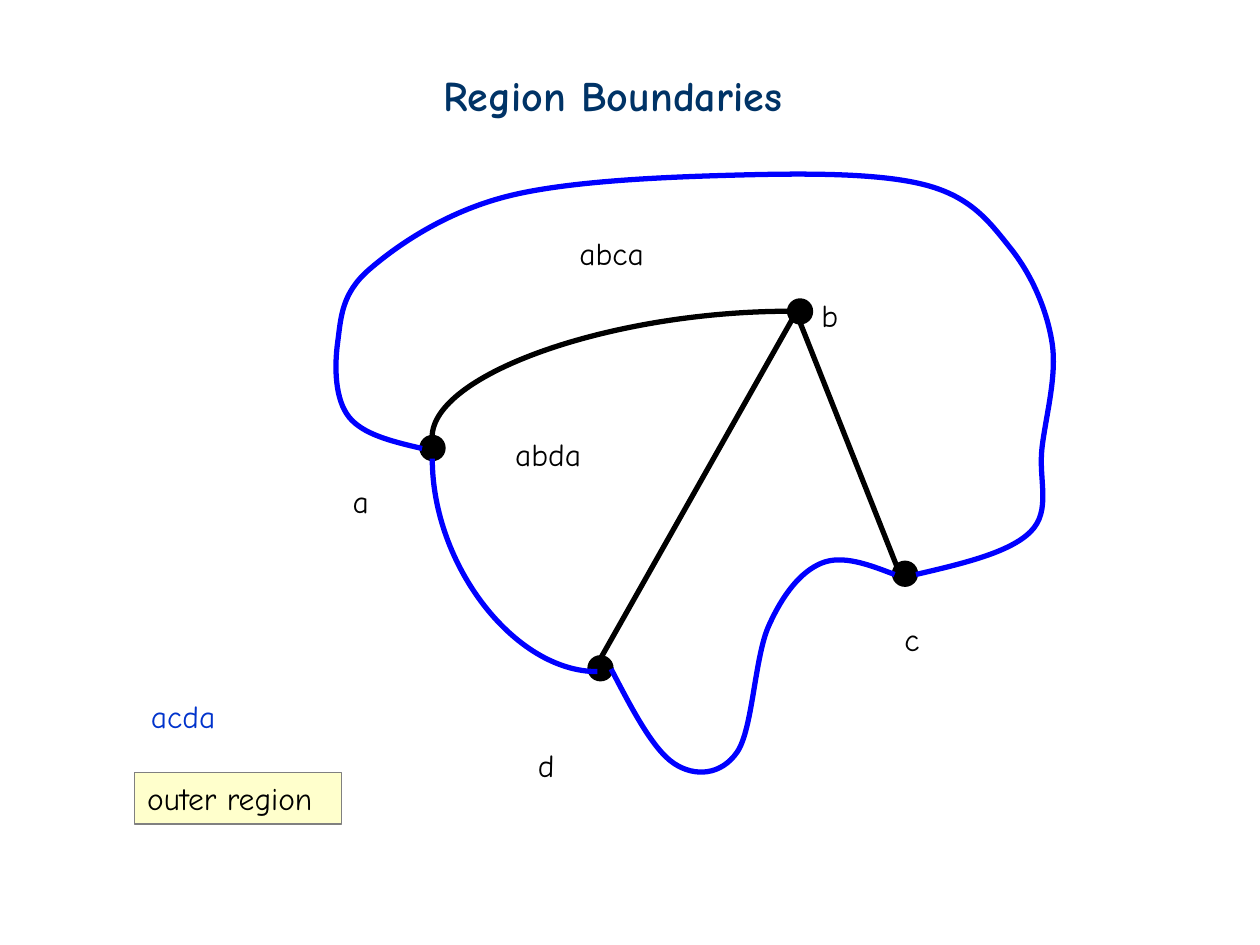
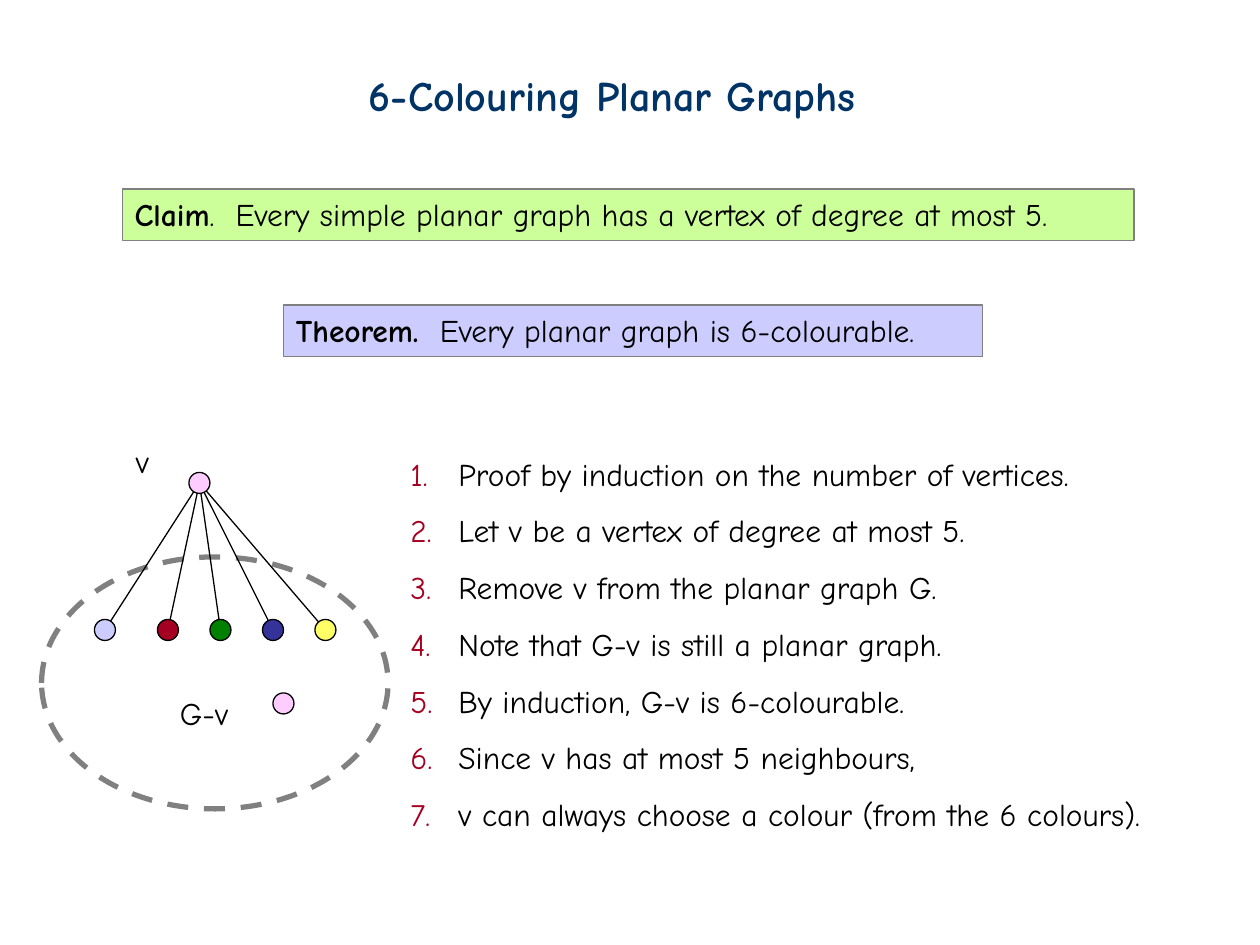
from lxml import etree
from pptx import Presentation
from pptx import util as u
from pptx.dml.color import RGBColor
from pptx.enum import dml, shapes, text
from pptx.oxml.ns import qn

COLS, ROWS = 100, 75
FONT = "Comic Neue"
BODY, TITLE = 18, 24
THIN, THICK = 0.75, 3
DOT = 1.67
COLORS = {
    "ink": "000000", "title": "003366", "edge": "0000FF", "accent": "0033CC",
    "grey": "808080", "number": "A50021", "cream": "FFFFCC", "lime": "CCFF99",
    "lilac": "CCCCFF", "pink": "FFCCFF", "red": "A50021", "green": "008000",
    "navy": "333399", "yellow": "FFFF66",
}


def rgb(name):
    return RGBColor.from_string(COLORS[name])


def smooth(anchors):
    """Return the Bezier points of a Catmull-Rom curve through the anchors."""
    def tangent(i):
        (x0, y0), (x1, y1) = anchors[i - 1], anchors[i + 1]
        return (x1 - x0) / 6, (y1 - y0) / 6

    def middle(p, q):
        return (p[0] + q[0]) / 2, (p[1] + q[1]) / 2

    last = len(anchors) - 1
    points = [anchors[0]]
    for i in range(last):
        (x0, y0), (x1, y1) = anchors[i], anchors[i + 1]
        out = back = None
        if i > 0:
            dx, dy = tangent(i)
            out = (x0 + dx, y0 + dy)
        if i + 1 < last:
            dx, dy = tangent(i + 1)
            back = (x1 - dx, y1 - dy)
        points += [out or middle((x0, y0), back), back or middle(out, (x1, y1)), (x1, y1)]
    return points


class Deck:
    def __init__(self):
        self.prs = Presentation()
        self.prs.slide_width, self.prs.slide_height = u.Inches(10), u.Inches(7.5)
        self.s = None

    def x(self, cols):
        return round(self.prs.slide_width * cols / COLS)

    def y(self, rows):
        return round(self.prs.slide_height * rows / ROWS)

    def box(self, left, top, width, height):
        return self.x(left), self.y(top), self.x(width), self.y(height)

    def slide(self, title, left, width):
        self.s = self.prs.slides.add_slide(self.prs.slide_layouts[6])
        self.label(title, left, 5, width, 5, "title", TITLE, True)

    def stroke(self, line, color, width):
        line.color.rgb = rgb(color)
        line.width = u.Pt(width)

    def add_text(self, p, words, color="ink", size=BODY, bold=False):
        r = p.add_run()
        r.text = words
        r.font.name, r.font.size, r.font.bold = FONT, u.Pt(size), bold
        r.font.color.rgb = rgb(color)

    def frame(self, sp):
        """Set up an unwrapped, left-aligned text frame and return it."""
        tf = sp.text_frame
        tf.word_wrap = False
        tf.auto_size = text.MSO_AUTO_SIZE.SHAPE_TO_FIT_TEXT
        tf.vertical_anchor = text.MSO_ANCHOR.TOP
        tf.paragraphs[0].alignment = text.PP_ALIGN.LEFT
        return tf

    def label(self, words, left, top, width, height=4, color="ink", size=BODY, bold=False):
        sp = self.s.shapes.add_textbox(*self.box(left, top, width, height))
        self.add_text(self.frame(sp).paragraphs[0], words, color, size, bold)

    def shape(self, kind, bounds, fill, line, width=THIN):
        sp = self.s.shapes.add_shape(kind, *self.box(*bounds))
        sp.shadow.inherit = False
        if fill:
            sp.fill.solid()
            sp.fill.fore_color.rgb = rgb(fill)
        else:
            sp.fill.background()
        self.stroke(sp.line, line, width)
        return sp

    def banner(self, left, top, width, fill, lead, rest):
        """Draw a framed statement with an optional bold lead."""
        sp = self.shape(shapes.MSO_SHAPE.RECTANGLE, (left, top, width, 4.1), fill, "grey")
        p = self.frame(sp).paragraphs[0]
        if lead:
            self.add_text(p, lead, bold=True)
        self.add_text(p, rest)

    def dot(self, center, fill="ink", width=THIN):
        cx, cy = center
        bounds = (cx - DOT / 2, cy - DOT / 2, DOT, DOT)
        self.shape(shapes.MSO_SHAPE.OVAL, bounds, fill, "ink", width)

    def connector(self, kind, start, end, color, width):
        c = self.s.shapes.add_connector(
            kind, self.x(start[0]), self.y(start[1]), self.x(end[0]), self.y(end[1]))
        self.stroke(c.line, color, width)
        etree.SubElement(c._element.spPr, qn("a:effectLst"))
        return c

    def line(self, start, end, width):
        self.connector(shapes.MSO_CONNECTOR.STRAIGHT, start, end, "ink", width)

    def arc(self, start, end, color):
        """Draw a quarter curve that leaves start vertically and reaches end horizontally."""
        (x0, y0), (x1, y1) = start, end
        cx, cy = (x0 + x1) / 2, (y0 + y1) / 2
        rise, run = (y0 - y1) / 2, (x1 - x0) / 2
        c = self.connector(shapes.MSO_CONNECTOR.CURVE, (cx - rise, cy - run),
                           (cx + rise, cy + run), color, THICK)
        sp_pr = c._element.spPr
        sp_pr.find(qn("a:xfrm")).set("rot", str(270 * 60000))
        sp_pr.find(qn("a:prstGeom")).set("prst", "curvedConnector2")

    def curve(self, anchors, color):
        points = [(self.x(x), self.y(y)) for x, y in smooth(anchors)]
        builder = self.s.shapes.build_freeform(*points[0])
        builder.add_line_segments(points[1:], close=False)
        sp = builder.convert_to_shape()
        sp.shadow.inherit = False
        sp.fill.background()
        self.stroke(sp.line, color, THICK)
        steps = list(sp._element.iter(qn("a:lnTo")))
        for i in range(0, len(steps), 3):
            bezier = etree.Element(qn("a:cubicBezTo"))
            steps[i].addprevious(bezier)
            for step in steps[i:i + 3]:
                bezier.append(step[0])
                step.getparent().remove(step)

    def numbered(self, items, left, top, width, height):
        tf = self.frame(self.s.shapes.add_textbox(*self.box(left, top, width, height)))
        for i, item in enumerate(items):
            p = tf.add_paragraph() if i else tf.paragraphs[0]
            if i:
                p.line_spacing = 1.5
            pr = p._p.get_or_add_pPr()
            pr.set("marL", str(u.Inches(0.38)))
            pr.set("indent", str(-u.Inches(0.38)))
            tint = etree.SubElement(pr, qn("a:buClr"))
            etree.SubElement(tint, qn("a:srgbClr"), val=COLORS["number"])
            etree.SubElement(pr, qn("a:buAutoNum"), type="arabicPeriod")
            self.add_text(p, item)


def region_boundaries(deck):
    deck.slide("Region Boundaries", 34.2, 30.8)
    for vertex in ((34.33, 35.56), (71.83, 45.54), (47.66, 53.04), (63.5, 24.72)):
        deck.dot(vertex, width=THICK)

    deck.arc((34.3, 34.7), (62.7, 24.7), "ink")
    deck.line((63.5, 25.6), (71.2, 45), THICK)
    deck.line((62.9, 25.3), (47.7, 52.2), THICK)

    deck.arc((34.3, 36.4), (47.4, 53.3), "edge")
    deck.curve([(48.5, 53.1), (53.5, 60.6), (58.5, 59.7), (61, 49.7), (65.2, 44.7),
                (71, 45.6)], "edge")
    deck.curve([(33.5, 35.6), (27.7, 33.1), (26.8, 27.2), (29.3, 21.4), (40.2, 15.6),
                (58.5, 13.9), (73.5, 14.7), (80.2, 19.7), (83.5, 27.2), (82.7, 35.6),
                (81.8, 42.2), (72.7, 45.6)], "edge")

    for name, left, top, width in (
            ("a", 27, 37.8, 3.3), ("b", 64.2, 23, 3.5), ("c", 70.8, 48.7, 3.3),
            ("d", 41.7, 58.7, 3.5), ("abca", 45, 18.1, 7.3), ("abda", 39.9, 34, 7.5)):
        deck.label(name, left, top, width)
    deck.label("acda", 11, 54.8, 7.3, color="accent")
    deck.banner(10.7, 61.3, 16.4, "cream", "", "outer region")


def six_colouring(deck):
    deck.slide("6-Colouring Planar Graphs", 28.3, 44.1)
    deck.banner(9.7, 15, 80.3, "lime", "Claim",
                ".  Every simple planar graph has a vertex of degree at most 5.")
    deck.banner(22.5, 24.2, 55.5, "lilac", "Theorem.",
                "  Every planar graph is 6-colourable.")
    deck.numbered([
        "Proof by induction on the number of vertices.",
        "Let v be a vertex of degree at most 5.",
        "Remove v from the planar graph G.",
        "Note that G-v is still a planar graph.",
        "By induction, G-v is 6-colourable.",
        "Since v has at most 5 neighbours,",
        "v can always choose a colour (from the 6 colours).",
    ], 31.6, 35.6, 63.4, 31.1)

    v, neighbour_row = (15.83, 38.33), 50
    neighbours = {"lilac": 8.33, "red": 13.33, "green": 17.5, "navy": 21.67, "yellow": 25.83}
    rest = deck.shape(shapes.MSO_SHAPE.OVAL, (3.3, 44.2, 27.5, 20), None, "grey", THICK)
    rest.line.dash_style = dml.MSO_LINE.DASH
    for col in neighbours.values():
        deck.line(v, (col, neighbour_row), THIN)
    for fill, col in neighbours.items():
        deck.dot((col, neighbour_row), fill)
    deck.dot(v, "pink")
    deck.dot((22.5, 55.83), "pink")
    deck.label("G-v", 13.3, 54.6, 6)
    deck.label("v", 9.8, 34.6, 3.2)


def main():
    deck = Deck()
    region_boundaries(deck)
    six_colouring(deck)
    deck.prs.save("out.pptx")


if __name__ == "__main__":
    main()
